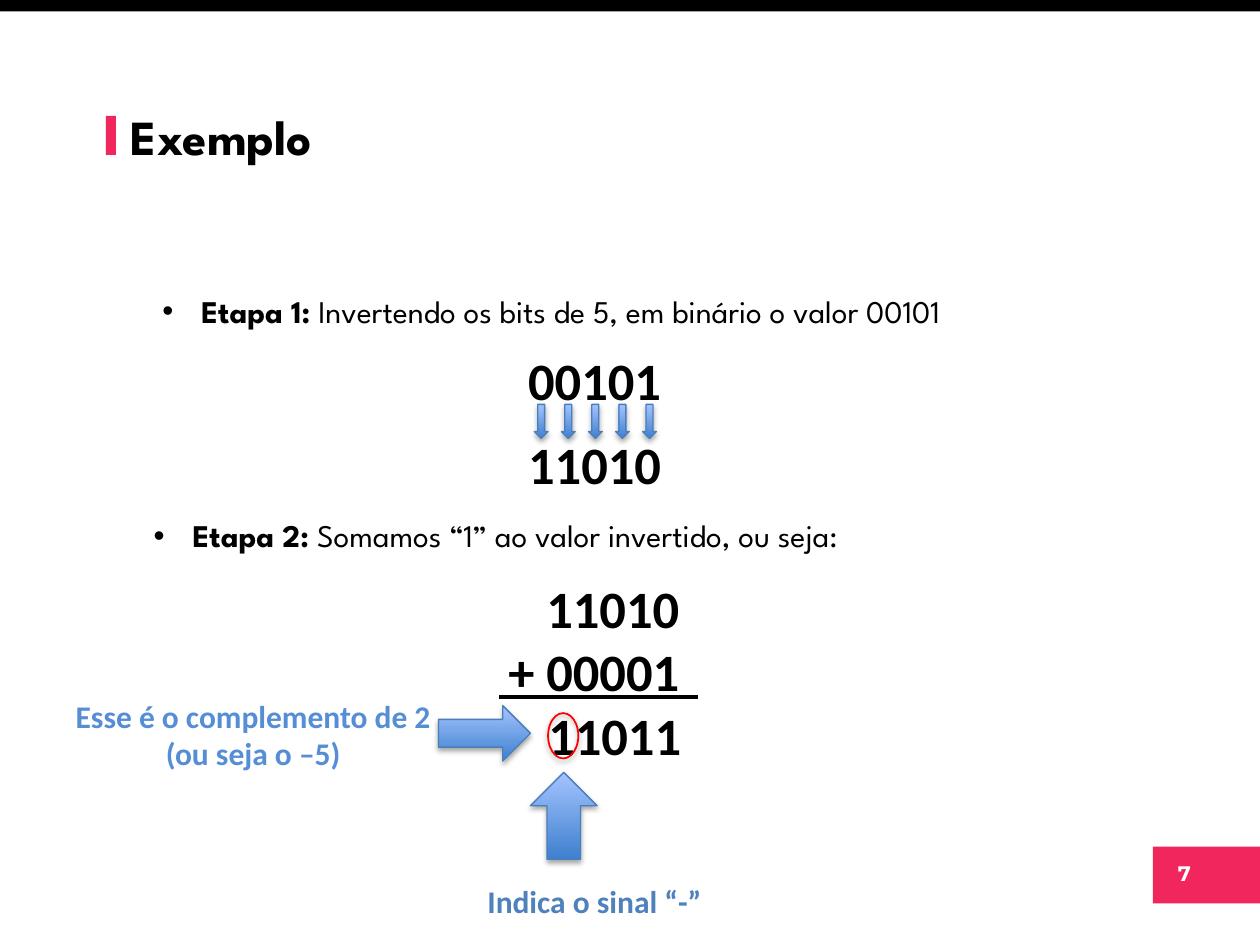
from lxml import etree
from pptx import Presentation
from pptx.dml.color import RGBColor
from pptx.enum.shapes import MSO_CONNECTOR, MSO_SHAPE
from pptx.enum.text import MSO_ANCHOR, PP_ALIGN
from pptx.oxml.ns import qn
from pptx.util import Inches, Pt

RECTANGLE = MSO_SHAPE.RECTANGLE
OVAL = MSO_SHAPE.OVAL
DOWN_ARROW = MSO_SHAPE.DOWN_ARROW
RIGHT_ARROW = MSO_SHAPE.RIGHT_ARROW
UP_ARROW = MSO_SHAPE.UP_ARROW
STRAIGHT = MSO_CONNECTOR.STRAIGHT
LEFT, CENTER, RIGHT = PP_ALIGN.LEFT, PP_ALIGN.CENTER, PP_ALIGN.RIGHT
TOP, MIDDLE = MSO_ANCHOR.TOP, MSO_ANCHOR.MIDDLE

BLACK, WHITE, PINK, RED = "000000", "FFFFFF", "F0265D", "FF0000"
HEADING_FONT, NUMBER_FONT, BODY_FONT = "League Spartan", "Montserrat", "Calibri"


def color(hex_value):
    return RGBColor.from_string(hex_value)


def add_text(slide, left, top, width, height, lines, size, font=BODY_FONT,
             fill=BLACK, align=CENTER, anchor=TOP, wrap=True):
    box = slide.shapes.add_textbox(Inches(left), Inches(top), Inches(width), Inches(height))
    frame = box.text_frame
    frame.word_wrap = wrap
    frame.vertical_anchor = anchor
    for index, runs in enumerate(lines):
        paragraph = frame.paragraphs[0] if index == 0 else frame.add_paragraph()
        paragraph.alignment = align
        for text, bold in runs:
            run = paragraph.add_run()
            run.text = text
            run.font.name = font
            run.font.size = Pt(size)
            run.font.bold = bold
            run.font.color.rgb = color(fill)
    return box


def add_shape(slide, kind, left, top, width, height):
    shape = slide.shapes.add_shape(kind, Inches(left), Inches(top), Inches(width), Inches(height))
    shape.shadow.inherit = False
    return shape


def add_block(slide, left, top, width, height, fill):
    block = add_shape(slide, RECTANGLE, left, top, width, height)
    block.fill.solid()
    block.fill.fore_color.rgb = color(fill)
    block.line.fill.background()


def add_soft_shadow(shape):
    effects = shape._element.spPr.find(qn("a:effectLst"))
    shadow = etree.SubElement(effects, qn("a:outerShdw"), blurRad=str(Pt(3.1)),
                              dist=str(Pt(1.8)), dir="5400000", rotWithShape="0")
    shade = etree.SubElement(shadow, qn("a:srgbClr"), val=BLACK)
    etree.SubElement(shade, qn("a:alpha"), val="35000")


def add_arrow(slide, kind, left, top, width, height):
    arrow = add_shape(slide, kind, left, top, width, height)
    arrow.fill.gradient()
    arrow.fill.gradient_angle = 90
    for stop, position, tone in zip(arrow.fill.gradient_stops, (0, 1), ("3F80CE", "A4C4FF")):
        stop.position = position
        stop.color.rgb = color(tone)
    arrow.line.color.rgb = color("4B7EBC")
    arrow.line.width = Pt(0.75)
    add_soft_shadow(arrow)


def add_header(slide, left, top):
    add_block(slide, 0, 0, 10, 0.09, BLACK)
    add_block(slide, left, top, 0.08, 0.31, PINK)
    add_text(slide, left + 0.1, top - 0.57, 8.62, 1.45, [[("Exemplo", True)]], 28,
             HEADING_FONT, align=LEFT, anchor=MIDDLE)


def add_page_number(slide, left, top):
    add_block(slide, left, top, 0.86, 0.45, PINK)
    add_text(slide, left + 0.01, top + 0.06, 0.48, 0.3, [[("7", True)]], 12,
             NUMBER_FONT, WHITE, wrap=False)


def add_step(slide, left, top, label, description):
    box = add_text(slide, left, top, 8.62, 0.44, [[(label, True), (description, False)]],
                   18, HEADING_FONT, align=LEFT)
    properties = box.text_frame.paragraphs[0]._p.get_or_add_pPr()
    properties.set("marL", str(Inches(0.81)))
    properties.set("indent", str(Inches(-0.31)))
    etree.SubElement(properties, qn("a:buFont"), typeface="Arial")
    etree.SubElement(properties, qn("a:buChar"), char="•")


def add_inversion(slide, left, top):
    for offset, bits in ((0, "00101"), (0.67, "11010")):
        add_text(slide, left, top + offset, 2.5, 0.61, [[(bits, True)]], 30)
    for index in range(5):
        add_arrow(slide, DOWN_ARROW, left + 0.77 + index * 0.215, top + 0.5, 0.11, 0.27)


def add_sum(slide, left, top):
    add_text(slide, left, top, 2.02, 1.11, [[("11010", True)], [("+ 00001", True)]], 30,
             align=RIGHT)
    rule = slide.shapes.add_connector(STRAIGHT, Inches(left + 0.49), Inches(top + 1.01),
                                      Inches(left + 2.07), Inches(top + 1.01))
    rule.line.color.rgb = color(BLACK)
    rule.line.width = Pt(2)
    etree.SubElement(rule._element.spPr, qn("a:effectLst"))
    add_text(slide, left + 0.21, top + 1.01, 2.4, 0.61, [[("11011", True)]], 30)


def add_complement_note(slide, left, top):
    add_arrow(slide, RIGHT_ARROW, left + 3.04, top + 0.12, 0.73, 0.44)
    add_text(slide, left, top, 3.14, 0.71,
             [[("Esse é o complemento de 2", True)], [("(ou seja o –5)", True)]],
             18, fill="558ED5")


def add_sign_note(slide, left, top):
    ring = add_shape(slide, OVAL, left + 0.58, top, 0.24, 0.36)
    ring.fill.background()
    ring.line.color.rgb = color(RED)
    ring.line.width = Pt(1)
    add_soft_shadow(ring)
    add_arrow(slide, UP_ARROW, left + 0.44, top + 0.47, 0.53, 0.69)
    add_text(slide, left, top + 1.29, 4.6, 0.4, [[("Indica o sinal “-”", True)]], 18,
             fill="4F81BD", align=LEFT)


def main():
    presentation = Presentation()
    presentation.slide_width = Inches(10)
    presentation.slide_height = Inches(7.5)
    slide = presentation.slides.add_slide(presentation.slide_layouts[6])
    add_header(slide, 0.84, 0.92)
    add_page_number(slide, 9.15, 6.72)
    add_step(slide, 0.69, 2.27, "Etapa 1:", " Invertendo os bits de 5, em binário o valor 00101")
    add_inversion(slide, 3.47, 2.71)
    add_step(slide, 0.62, 4.05, "Etapa 2:", " Somamos “1” ao valor invertido, ou seja:")
    add_sum(slide, 3.47, 4.52)
    add_complement_note(slide, 0.44, 5.48)
    add_sign_note(slide, 3.77, 5.66)
    presentation.save("out.pptx")


if __name__ == "__main__":
    main()
